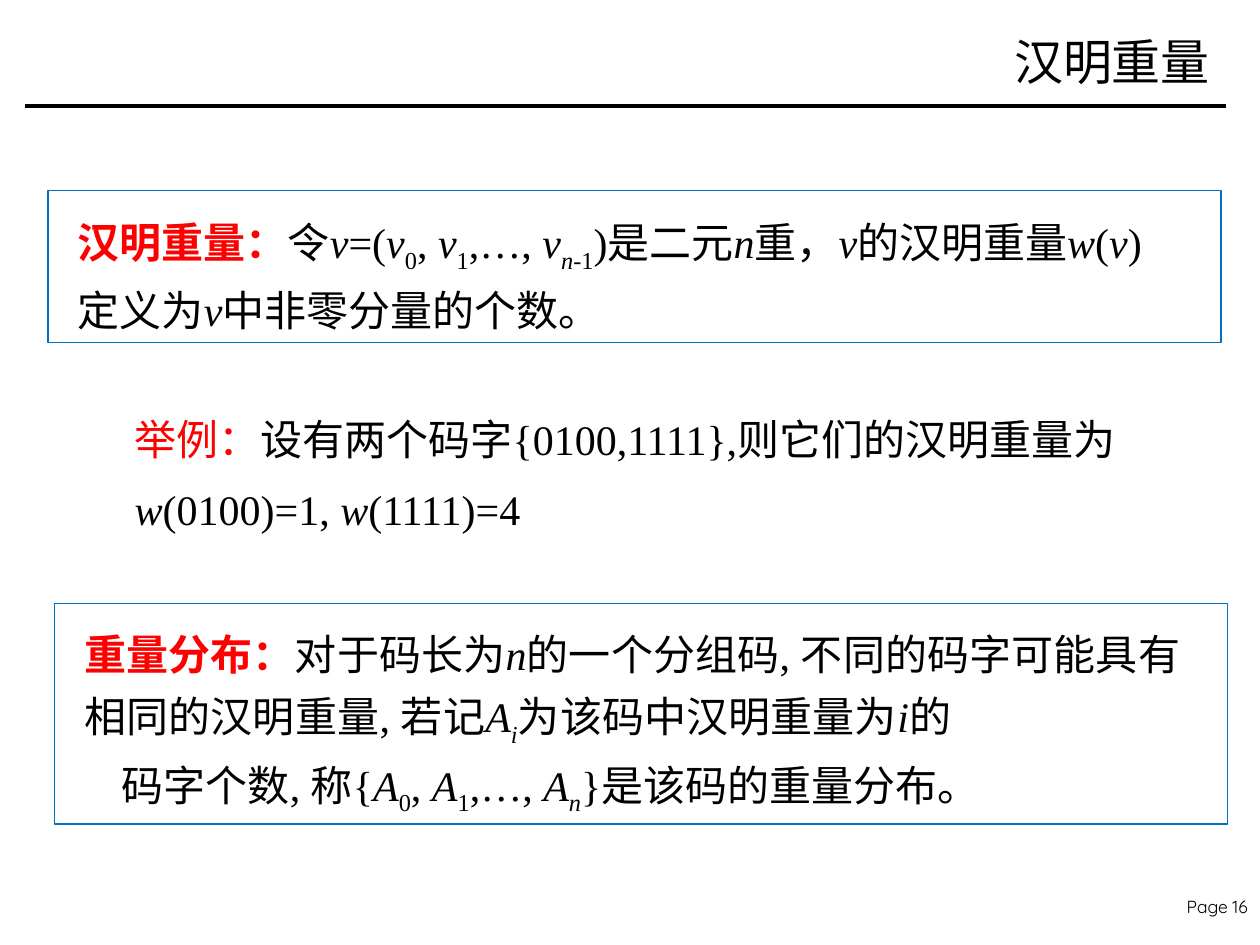
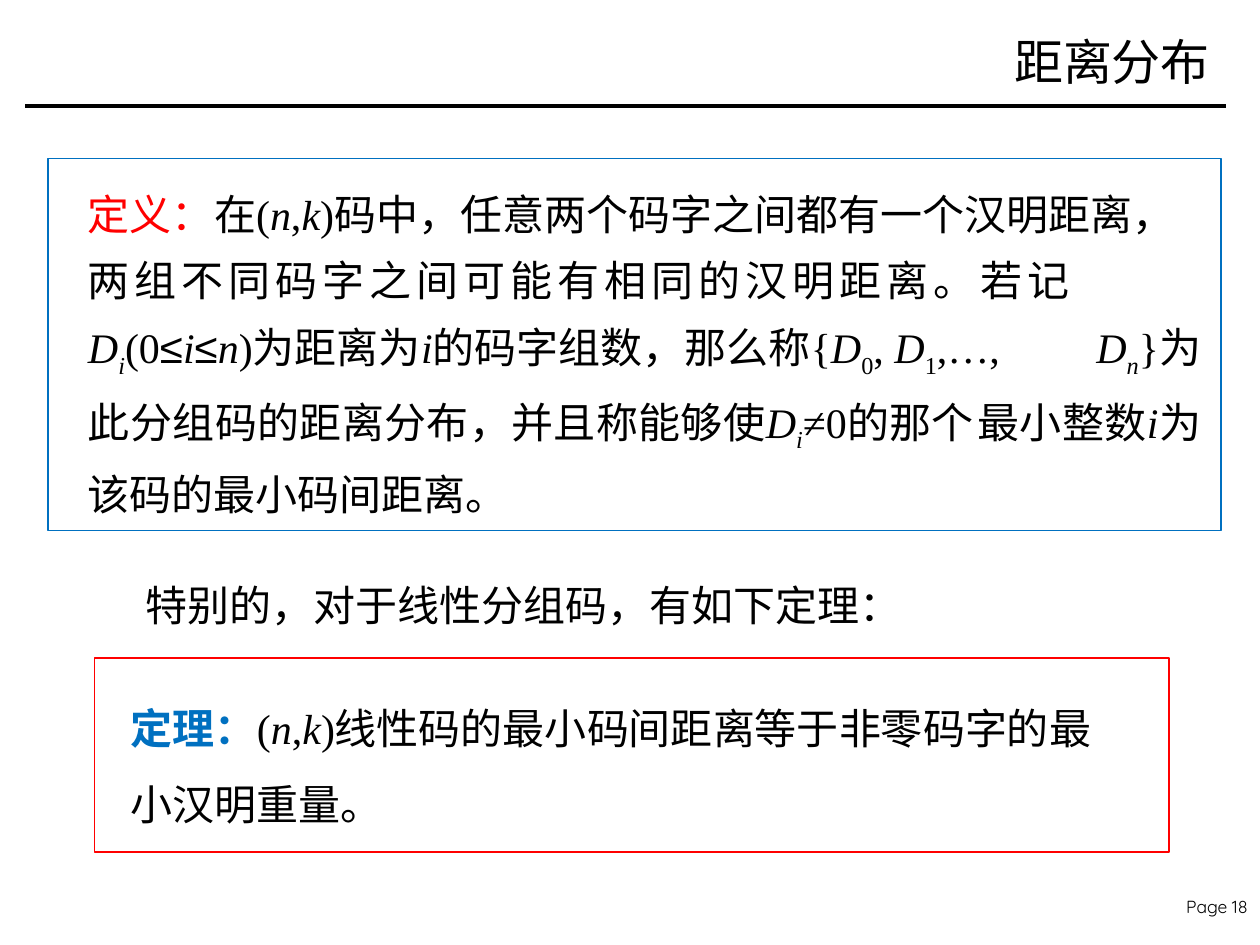
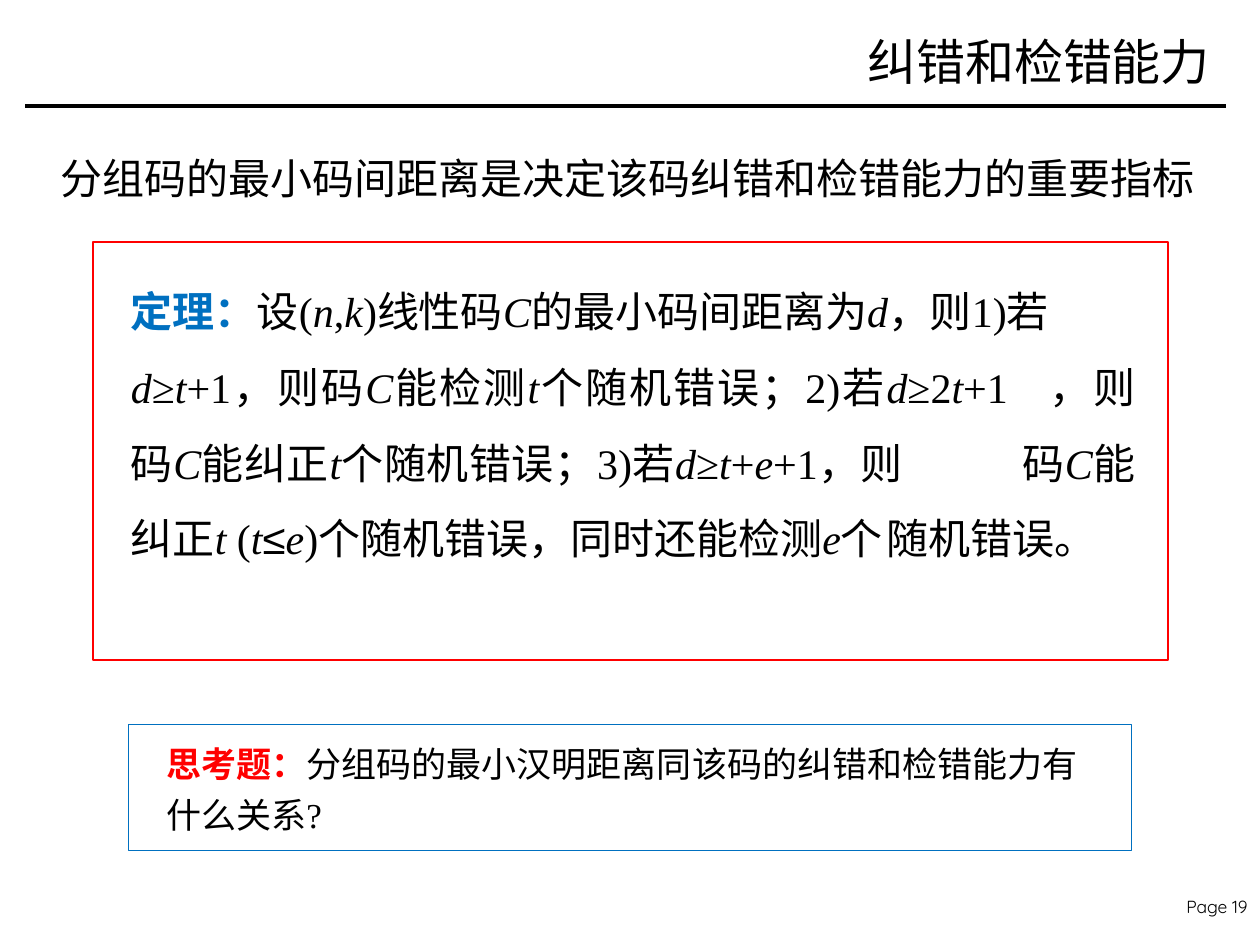
from dataclasses import dataclass
from itertools import groupby

from lxml.etree import SubElement
from pptx import Presentation
from pptx.dml.color import RGBColor
from pptx.enum.shapes import MSO_CONNECTOR, MSO_SHAPE
from pptx.enum.text import MSO_ANCHOR, PP_ALIGN as Align
from pptx.oxml.ns import qn
from pptx.slide import Slide
from pptx.text.text import _Paragraph as Paragraph
from pptx.util import Inches, Pt

BLACK, WHITE, RED, BLUE = "000000", "FFFFFF", "FF0000", "0070C0"
CJK_FONT, FORMULA_FONT, SIGN_FONT = "Noto Sans CJK SC", "Times New Roman", "Arial"
FOOTER_FONT = "Quicksand"


@dataclass(frozen=True)
class Area:
    left: float
    top: float
    width: float
    height: float

    def lengths(self) -> tuple:
        return tuple(map(Inches, (self.left, self.top, self.width, self.height)))


@dataclass(frozen=True)
class Frame:
    area: Area
    line: str = BLUE
    weight: float = 0.75
    fill: str | None = None


@dataclass(frozen=True)
class Passage:
    """Body text; underscores enclose subscripts and Latin letters are variables."""
    area: Area
    body: str
    lead: str = ""
    lead_color: str = RED
    lead_bold: bool = True
    spacing: float = 1.2
    align: Align = Align.JUSTIFY
    size: int = 24
    tabs: tuple[float, ...] = ()


@dataclass(frozen=True)
class Page:
    number: int
    title: str
    items: tuple[Frame | Passage, ...]


TITLE_AREA = Area(6.05, 0.11, 3.65, 0.75)
FOOTER_AREA = Area(9.2, 7.06, 0.8, 0.26)

PAGES = (
    Page(16, "汉明重量", (
        Frame(Area(0.38, 1.51, 9.31, 1.21)),
        Passage(Area(0.52, 1.58, 9.03, 1.07),
                "令v=(v_0_, v_1_,…, v_n-1_)是二元n重，v的汉明重量w(v)\t定义为v中非零分量的个数。",
                "汉明重量：", tabs=(1.83,)),
        Frame(Area(0.43, 4.79, 9.31, 1.75)),
        Passage(Area(0.57, 4.86, 9.03, 1.55),
                "对于码长为n的一个分组码, 不同的码字可能具有\t相同的汉明重量, 若记A_i_为该码中汉明重量为i的\t\n"
                "\t码字个数, 称{A_0_, A_1_,…, A_n_}是该码的重量分布。",
                "重量分布：", tabs=(0.3, 1.3, 8.8)),
        Passage(Area(0.97, 3.07, 8.31, 1.23),
                "设有两个码字{0100,1111},则它们的汉明重量为\tw(0100)=1, w(1111)=4",
                "举例：", lead_bold=False, spacing=1.4, align=Align.LEFT),
    )),
    Page(18, "距离分布", (
        Frame(Area(0.38, 1.26, 9.31, 2.95)),
        Passage(Area(0.6, 1.33, 9.03, 2.72),
                "在(n,k)码中，任意两个码字之间都有一个汉明距离，\t两组不同码字之间可能有相同的汉明距离。若记\t"
                "D_i_(0≤i≤n)为距离为i的码字组数，那么称{D_0_, D_1_,…, \tD_n_}为此分组码的距离分布，"
                "并且称能够使D_i_≠0的那个\t最小整数i为该码的最小码间距离。",
                "定义：", lead_bold=False, spacing=1.3),
        Passage(Area(1.06, 4.43, 7.22, 0.62), "特别的，对于线性分组码，有如下定理：", spacing=1.3),
        Frame(Area(0.75, 5.22, 8.53, 1.54), RED, 1, WHITE),
        Passage(Area(0.94, 5.33, 8.04, 1.31),
                "(n,k)线性码的最小码间距离等于非零码字的最\t小汉明重量。",
                "定理：", BLUE, spacing=1.5),
    )),
    Page(19, "纠错和检错能力", (
        Passage(Area(0.38, 1.04, 9.4, 0.62),
                "分组码的最小码间距离是决定该码纠错和检错能力的重要指标", spacing=1.3),
        Frame(Area(0.74, 1.92, 8.53, 3.32), RED, 1, WHITE),
        Passage(Area(0.94, 2.02, 8.17, 3.13),
                "设(n,k)线性码C的最小码间距离为d，则1)若\td≥t+1，则码C能检测t个随机错误；"
                "2)若d≥2t+1\t，则码C能纠正t个随机错误；3)若d≥t+e+1，则\t码C能纠正t (t≤e)"
                "个随机错误，同时还能检测e个\t随机错误。",
                "定理：", BLUE, spacing=1.5),
        Frame(Area(1.02, 5.75, 7.96, 1), BLUE, 1, WHITE),
        Passage(Area(1.22, 5.78, 7.5, 0.91),
                "分组码的最小汉明距离同该码的纠错和检错能力有\t什么关系?",
                "思考题：", size=20),
    )),
)


def rgb(color: str) -> RGBColor:
    return RGBColor.from_string(color)


def glyph_style(char: str) -> tuple[str, bool]:
    """Return the font of a character and whether it is italic."""
    if char == "≤":
        return SIGN_FONT, False
    if char >= "⺀":
        return CJK_FONT, False
    return FORMULA_FONT, char.isascii() and char.isalpha()


def set_tabs(para: Paragraph, tabs: tuple[float, ...]) -> None:
    """Set tab stops, with default stops one inch apart after them."""
    properties = para._p.get_or_add_pPr()
    properties.set("defTabSz", str(Inches(1)))
    if tabs:
        tab_list = SubElement(properties, qn("a:tabLst"))
        for position in tabs:
            SubElement(tab_list, qn("a:tab"), pos=str(Inches(position)), algn="l")


def add_paragraph_box(slide: Slide, area: Area, size: int, align: Align,
                      font: str = CJK_FONT, anchor: MSO_ANCHOR = MSO_ANCHOR.TOP,
                      tabs: tuple[float, ...] = ()) -> Paragraph:
    """Add a wrapped text box and return its one styled, empty paragraph."""
    frame = slide.shapes.add_textbox(*area.lengths()).text_frame
    frame.word_wrap = True
    frame.vertical_anchor = anchor
    para = frame.paragraphs[0]
    para.alignment = align
    set_tabs(para, tabs)
    para.font.size = Pt(size)
    para.font.color.rgb = rgb(BLACK)
    para.font.name = font
    SubElement(para._p.pPr.find(qn("a:defRPr")), qn("a:ea"), typeface=CJK_FONT)
    return para


def write_formula_text(para: Paragraph, text: str) -> None:
    for index, part in enumerate(text.split("_")):
        for (font, italic), chars in groupby(part, glyph_style):
            span = para.add_run()
            span.text = "".join(chars)
            span.font.name = font
            if italic:
                span.font.italic = True
            if index % 2:
                span._r.get_or_add_rPr().set("baseline", "-25000")


def add_passage(slide: Slide, passage: Passage) -> None:
    para = add_paragraph_box(slide, passage.area, passage.size, passage.align, tabs=passage.tabs)
    para.line_spacing = passage.spacing
    if passage.lead:
        lead = para.add_run()
        lead.text = passage.lead
        lead.font.bold = passage.lead_bold
        lead.font.color.rgb = rgb(passage.lead_color)
    for index, row in enumerate(passage.body.split("\n")):
        if index:
            para.add_line_break()
        write_formula_text(para, row)


def add_frame(slide: Slide, frame: Frame) -> None:
    box = slide.shapes.add_shape(MSO_SHAPE.RECTANGLE, *frame.area.lengths())
    box.shadow.inherit = False
    if frame.fill:
        box.fill.solid()
        box.fill.fore_color.rgb = rgb(frame.fill)
    else:
        box.fill.background()
    box.line.color.rgb = rgb(frame.line)
    box.line.width = Pt(frame.weight)


def add_page_furniture(slide: Slide, page: Page) -> None:
    """Add the footer, the rule under the title and the title."""
    footer = add_paragraph_box(slide, FOOTER_AREA, 10, Align.RIGHT, FOOTER_FONT)
    footer.add_run().text = f"Page {page.number}"
    rule = slide.shapes.add_connector(MSO_CONNECTOR.STRAIGHT, Inches(0.2), Inches(0.84),
                                      Inches(9.73), Inches(0.84))
    rule.line.color.rgb = rgb(BLACK)
    rule.line.width = Pt(2)
    SubElement(rule._element.spPr, qn("a:effectLst"))
    title = add_paragraph_box(slide, TITLE_AREA, 28, Align.RIGHT, anchor=MSO_ANCHOR.MIDDLE)
    title.add_run().text = page.title


def main() -> None:
    deck = Presentation()
    deck.slide_width, deck.slide_height = Inches(10), Inches(7.5)
    for page in PAGES:
        slide = deck.slides.add_slide(deck.slide_layouts[6])
        add_page_furniture(slide, page)
        for item in page.items:
            if isinstance(item, Frame):
                add_frame(slide, item)
            else:
                add_passage(slide, item)
    deck.save("out.pptx")


if __name__ == "__main__":
    main()
